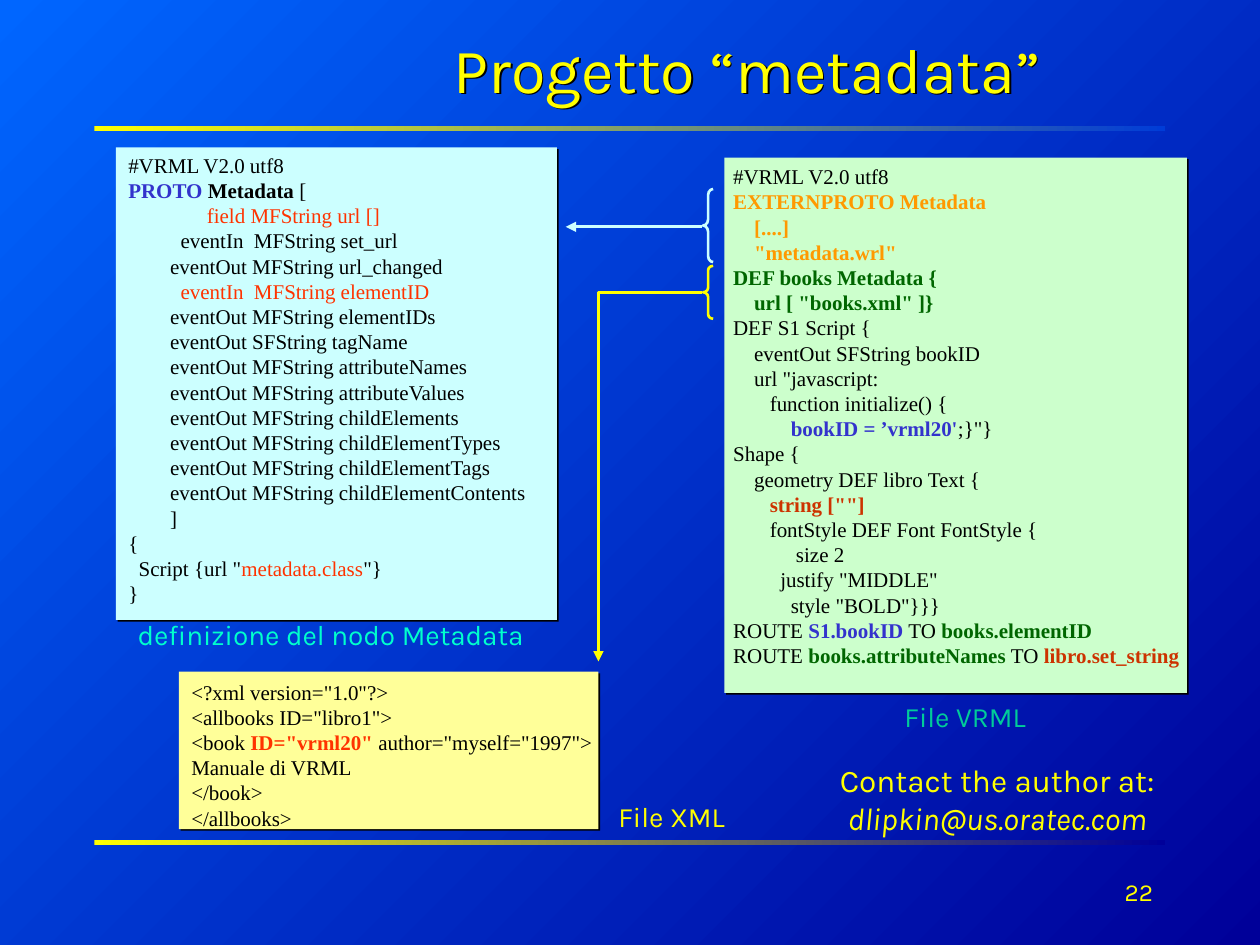
from lxml.etree import SubElement
from pptx import Presentation
from pptx.dml.color import RGBColor
from pptx.enum.shapes import MSO_CONNECTOR, MSO_SHAPE
from pptx.enum.text import MSO_ANCHOR, MSO_AUTO_SIZE, PP_ALIGN
from pptx.oxml.ns import qn
from pptx.util import Inches, Pt

COLORS = {
    "black": "000000", "yellow": "FFFF00", "blue": "3333CC", "red": "FF3300",
    "orange": "FF9900", "green": "006600", "brick": "CC3300", "cyan": "CCFFFF",
    "cream": "FFFF99", "mint": "CCFFCC", "aqua": "00FFCC", "teal": "00CC99",
    "sky": "0066FF", "navy": "000099", "royal": "003CD7",
}
HEADING_FONT, CODE_FONT = "Karla", "Times New Roman"
TITLE = "Progetto “metadata”"

PROTO_CODE = [
    "#VRML V2.0 utf8",
    [("PROTO ", "blue", True), ("Metadata", "black", True), (" [", "black", False)],
    [("               field MFString url []", "red", False)],
    "          eventIn  MFString set_url",
    "        eventOut MFString url_changed",
    [("          eventIn  MFString elementID", "red", False)],
    "        eventOut MFString elementIDs",
    "        eventOut SFString tagName",
    "        eventOut MFString attributeNames",
    "        eventOut MFString attributeValues",
    "        eventOut MFString childElements",
    "        eventOut MFString childElementTypes",
    "        eventOut MFString childElementTags",
    "        eventOut MFString childElementContents",
    "        ]",
    "{",
    [('  Script {url "', "black", False), ("metadata.class", "red", False), ('"}', "black", False)],
    "}",
]
XML_CODE = [
    '<?xml version="1.0"?>',
    '<allbooks ID="libro1">',
    [("<book ", "black", False), ('ID="vrml20"', "red", True),
     (' author="myself="1997">', "black", False)],
    "Manuale di VRML",
    "</book>",
    "</allbooks>",
]
VRML_CODE = [
    "#VRML V2.0 utf8",
    [("EXTERNPROTO Metadata", "orange", True)],
    [("    [....]", "orange", True)],
    [('    "metadata.wrl"', "orange", True)],
    [("DEF books Metadata {", "green", True)],
    [('    url [ "books.xml" ]}', "green", True)],
    "DEF S1 Script {",
    "    eventOut SFString bookID",
    '    url "javascript:',
    "       function initialize() {",
    [("           bookID = ’vrml20'", "blue", True), (';}"}', "black", False)],
    "Shape {",
    "    geometry DEF libro Text {",
    [('       string [""]', "brick", True)],
    "       fontStyle DEF Font FontStyle {",
    "            size 2",
    '         justify "MIDDLE"',
    '           style "BOLD"}}}',
    [("ROUTE ", "black", False), ("S1.bookID", "blue", True),
     (" TO ", "black", False), ("books.elementID", "green", True)],
    [("ROUTE ", "black", False), ("books.attributeNames", "green", True),
     (" TO ", "black", False), ("libro.set_string", "brick", True)],
]
PANELS = [
    ((0.92, 1.17, 3.5, 3.75), "cyan", (0.92, 1.16, 3.4, 3.7), PROTO_CODE),
    ((1.42, 5.33, 3.33, 1.25), "cream", (1.42, 5.34, 3.5, 1.3), XML_CODE),
    ((5.75, 1.25, 3.67, 4.25), "mint", (5.72, 1.25, 3.75, 4.1), VRML_CODE),
]
LABELS = [
    ((0.94, 4.85, 3.37, 0.37), "definizione del nodo Metadata", 16, "aqua", PP_ALIGN.CENTER),
    ((4.8, 6.29, 1.06, 0.37), "File XML", 16, "yellow", PP_ALIGN.CENTER),
    ((7.06, 5.5, 1.2, 0.37), "File VRML", 16, "teal", PP_ALIGN.CENTER),
    ((6.53, 5.99, 2.77, 0.7), "Contact the author at:\ndlipkin@us.oratec.com", 18, "yellow",
     PP_ALIGN.CENTER),
    ((8, 6.83, 1.25, 0.5), "22", 14, "yellow", PP_ALIGN.RIGHT),
]
RULES = [(1, "royal"), (6.67, "navy")]
BRACES = [((5.58, 2.11, 0.08, 0.42), "yellow"), ((5.58, 1.5, 0.08, 0.58), "cyan")]
ARROWS = [
    (MSO_CONNECTOR.ELBOW, (5.57, 2.32), (4.75, 5.25), "yellow"),
    (MSO_CONNECTOR.STRAIGHT, (5.57, 1.8), (4.49, 1.8), "cyan"),
]


def inches(values):
    """Convert a sequence of numbers to lengths."""
    return [Inches(value) for value in values]


def rgb(name):
    """Look up a named colour."""
    return RGBColor.from_string(COLORS[name])


def fill_gradient(fill, start, end, angle):
    """Apply a two-stop linear gradient."""
    fill.gradient()
    fill.gradient_angle = angle
    for stop, name in zip(fill.gradient_stops, (start, end)):
        stop.color.rgb = rgb(name)


def add_hard_shadow(properties):
    """Add a sharp black shadow to shape properties."""
    for old in properties.findall(qn("a:effectLst")):
        properties.remove(old)
    effects = SubElement(properties, qn("a:effectLst"))
    shadow = SubElement(effects, qn("a:outerShdw"), dist=str(Pt(1.4)), dir="2700000", algn="ctr")
    SubElement(shadow, qn("a:srgbClr"), val=COLORS["black"])


def format_run(run, font, size, color, bold=False):
    """Set the look of one run."""
    run.font.name, run.font.size, run.font.bold = font, Pt(size), bold
    run.font.color.rgb = rgb(color)


def add_box(slide, box):
    """Add a text box that grows with its unwrapped text."""
    frame = slide.shapes.add_textbox(*inches(box)).text_frame
    frame.word_wrap = False
    frame.auto_size = MSO_AUTO_SIZE.SHAPE_TO_FIT_TEXT
    frame.vertical_anchor = MSO_ANCHOR.MIDDLE
    return frame


def add_shape(slide, kind, box):
    """Add a preset shape without line or theme shadow."""
    shape = slide.shapes.add_shape(kind, *inches(box))
    shape.shadow.inherit = False
    shape.line.fill.background()
    return shape


def add_panel(slide, box, color, text_box, lines):
    """Add a shadowed panel with its code listing."""
    panel = add_shape(slide, MSO_SHAPE.RECTANGLE, box)
    panel.fill.solid()
    panel.fill.fore_color.rgb = rgb(color)
    add_hard_shadow(panel._element.spPr)
    frame = add_box(slide, text_box)
    for index, line in enumerate(lines):
        paragraph = frame.add_paragraph() if index else frame.paragraphs[0]
        for text, run_color, bold in [(line, "black", False)] if isinstance(line, str) else line:
            run = paragraph.add_run()
            run.text = text
            format_run(run, CODE_FONT, 12, run_color, bold)


def add_label(slide, box, text, size, color, alignment):
    """Add a heading-font label; a second line is italic."""
    frame = add_box(slide, box)
    frame.text = text
    for index, paragraph in enumerate(frame.paragraphs):
        paragraph.alignment = alignment
        format_run(paragraph.runs[0], HEADING_FONT, size, color)
        paragraph.runs[0].font.italic = index > 0


def add_arrow(slide, kind, start, end, color):
    """Add a connector with a triangle at its end."""
    connector = slide.shapes.add_connector(kind, *inches(start + end))
    connector.line.color.rgb = rgb(color)
    connector.line.width = Pt(1.5)
    SubElement(connector.line._get_or_add_ln(), qn("a:tailEnd"), type="triangle")
    properties = connector._element.spPr
    SubElement(properties, qn("a:effectLst"))
    if kind == MSO_CONNECTOR.ELBOW:
        properties.find(qn("a:prstGeom")).set("prst", "bentConnector2")


def add_title(slide):
    """Fill and place the title placeholder."""
    title = slide.shapes.title
    title.left, title.top, title.width, title.height = inches((3.5, 0.25, 5.25, 0.58))
    title.fill.background()
    add_hard_shadow(title._element.spPr)
    frame = title.text_frame
    frame.text = TITLE
    frame.auto_size = MSO_AUTO_SIZE.NONE
    frame.vertical_anchor = MSO_ANCHOR.MIDDLE
    frame.paragraphs[0].alignment = PP_ALIGN.LEFT
    format_run(frame.paragraphs[0].runs[0], HEADING_FONT, 36, "yellow")


def main():
    """Build and save the slide."""
    presentation = Presentation()
    presentation.slide_width, presentation.slide_height = inches((10, 7.5))
    slide = presentation.slides.add_slide(presentation.slide_layouts[5])
    fill_gradient(slide.background.fill, "sky", "navy", 315)
    for top, end in RULES:
        rule = add_shape(slide, MSO_SHAPE.RECTANGLE, (0.75, top, 8.5, 0.04))
        fill_gradient(rule.fill, "yellow", end, 0)
    add_title(slide)
    for panel in PANELS:
        add_panel(slide, *panel)
    for label in LABELS:
        add_label(slide, *label)
    for box, color in BRACES:
        brace = add_shape(slide, MSO_SHAPE.LEFT_BRACE, box)
        brace.adjustments[0] = box[3] / 12 / box[2]
        brace.fill.background()
        brace.line.color.rgb = rgb(color)
        brace.line.width = Pt(1.5)
    for arrow in ARROWS:
        add_arrow(slide, *arrow)
    presentation.save("out.pptx")


if __name__ == "__main__":
    main()
